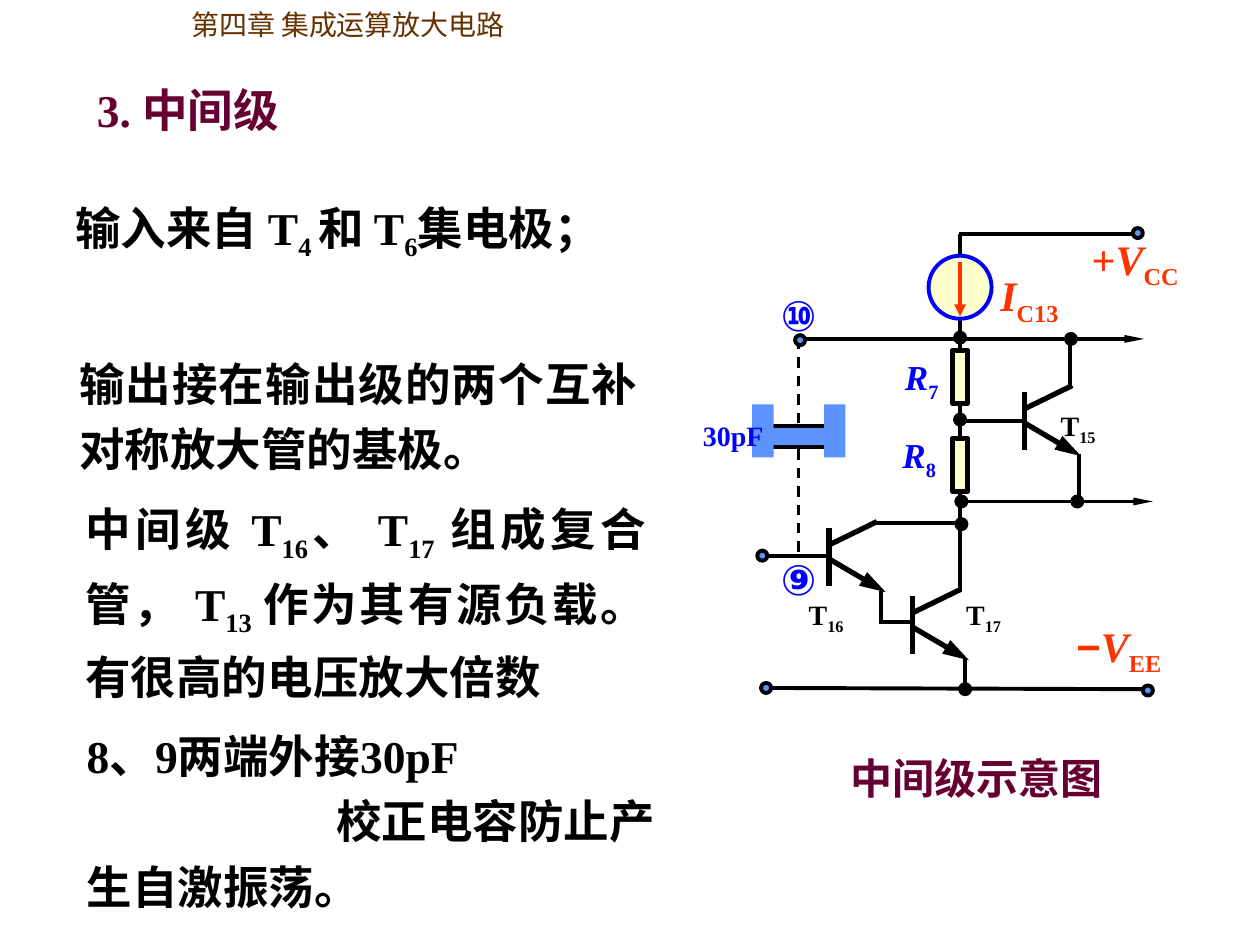
"""Build the slide on the intermediate stage of an integrated operational amplifier."""
import dataclasses
import itertools
import typing

import pptx
import pptx.dml.color
import pptx.enum.dml
import pptx.enum.shapes
import pptx.enum.text
import pptx.oxml
import pptx.oxml.ns
import pptx.util

COLUMNS, ROWS = 100, 75
CELL = pptx.util.Inches(0.1)
SERIF, SANS, HAN = "Times New Roman", "Arial", "Noto Sans CJK JP"
COLORS = {"black": "000000", "brown": "663300", "plum": "660033", "red": "FF3300",
          "blue": "0000FF", "sky": "5D93FF", "cream": "FFFFCC"}
ALIGN = pptx.enum.text.PP_ALIGN
SHAPE = pptx.enum.shapes.MSO_SHAPE


class Box(typing.NamedTuple):
    """Left, top, width and height in grid cells."""
    left: float
    top: float
    width: float
    height: float


@dataclasses.dataclass
class Wire:
    """A straight line between two grid points, with arrow width and length."""
    x1: float
    y1: float
    x2: float
    y2: float
    weight: float = 2.25
    color: str = "black"
    arrow: typing.Optional[typing.Tuple[str, str]] = None
    dashed: bool = False


class Node(typing.NamedTuple):
    """Centre of a junction or terminal and its fill."""
    x: float
    y: float
    color: str = "black"


def cells(*counts: float) -> typing.List[int]:
    """Turn grid counts into lengths."""
    return [round(count * CELL) for count in counts]


def rgb(name: str) -> pptx.dml.color.RGBColor:
    """Look up a named colour."""
    return pptx.dml.color.RGBColor.from_string(COLORS[name])


def draw_wire(slide, wire: Wire) -> None:
    """Draw one wire, dashed or with an arrowhead where asked."""
    line = slide.shapes.add_connector(pptx.enum.shapes.MSO_CONNECTOR.STRAIGHT,
                                      *cells(wire.x1, wire.y1, wire.x2, wire.y2))
    line.line.color.rgb = rgb(wire.color)
    line.line.width = pptx.util.Pt(wire.weight)
    if wire.dashed:
        line.line.dash_style = pptx.enum.dml.MSO_LINE.DASH
    if wire.arrow:
        width, length = wire.arrow
        head = pptx.oxml.parse_xml(
            f'<a:tailEnd {pptx.oxml.ns.nsdecls("a")} type="triangle" w="{width}" len="{length}"/>')
        line.line._get_or_add_ln().append(head)
    effects = pptx.oxml.parse_xml(f'<a:effectLst {pptx.oxml.ns.nsdecls("a")}/>')
    line._element.spPr.append(effects)


def draw_part(slide, kind, box: Box, fill: str, outline: str = "black", weight: float = 2.25) -> None:
    """Draw a filled part; zero weight means no outline."""
    part = slide.shapes.add_shape(kind, *cells(*box))
    part.shadow.inherit = False
    part.fill.solid()
    part.fill.fore_color.rgb = rgb(fill)
    if weight:
        part.line.color.rgb = rgb(outline)
        part.line.width = pptx.util.Pt(weight)
    else:
        part.line.fill.background()


def draw_node(slide, node: Node) -> None:
    """Draw a round junction or terminal."""
    draw_part(slide, SHAPE.OVAL, Box(node.x - 0.4, node.y - 0.4, 0.8, 0.8), node.color)


def draw_transistor(slide, x: float, y: float) -> None:
    """Draw a transistor whose base bar starts at the given point."""
    draw_wire(slide, Wire(x, y, x, y + 4.6, 3))
    draw_wire(slide, Wire(x - 0.1, y + 2.4, x + 4.5, y + 5.1, 3, arrow=("med", "lg")))
    draw_wire(slide, Wire(x - 0.1, y + 1.4, x + 3.8, y - 0.5, 3))


def write(slide, text: str, box: Box, *, size: float, color: str = "black", font: str = SERIF,
          bold: bool = True, italic: str = "", align=None, spacing: typing.Optional[float] = None,
          middle: bool = False, indent: float = 0) -> None:
    """Write text with subscripts between bars; the indent is for the last paragraph."""
    frame = slide.shapes.add_textbox(*cells(*box)).text_frame
    frame.word_wrap = True
    frame.auto_size = pptx.enum.text.MSO_AUTO_SIZE.SHAPE_TO_FIT_TEXT
    if middle:
        frame.vertical_anchor = pptx.enum.text.MSO_ANCHOR.MIDDLE
    for number, content in enumerate(text.split("\n")):
        paragraph = frame.add_paragraph() if number else frame.paragraphs[0]
        paragraph.alignment = align
        paragraph.line_spacing = spacing
        paragraph._p.get_or_add_pPr().set("hangingPunct", "0")
        for part, segment in enumerate(content.split("|")):
            lowered = part % 2 == 1
            for slanted, letters in itertools.groupby(segment, lambda letter: letter in italic):
                run = paragraph.add_run()
                run.text = "".join(letters)
                run.font.size = pptx.util.Pt(size)
                run.font.bold = bold
                run.font.italic = slanted
                run.font.color.rgb = rgb(color)
                run.font.name = SERIF if lowered or slanted else font
                properties = run._r.get_or_add_rPr()
                if lowered:
                    properties.set("baseline", "-25000")
                properties.append(pptx.oxml.parse_xml(
                    f'<a:ea {pptx.oxml.ns.nsdecls("a")} typeface="{HAN}"/>'))
    if indent:
        paragraph._p.get_or_add_pPr().set("indent", str(cells(indent)[0]))


def draw_circuit(slide) -> None:
    """Draw the schematic of the intermediate stage."""
    output = ("sm", "lg")
    wires = [
        Wire(76.2, 18.6, 76.2, 47), Wire(76.1, 18.6, 90.5, 18.6),
        Wire(63.2, 26.9, 90.8, 26.9, arrow=output), Wire(76.3, 39.8, 91.5, 39.8, arrow=output),
        Wire(61, 44.1, 65.7, 44.1), Wire(69.9, 46.9, 69.9, 49.4), Wire(69.8, 49.4, 72.3, 49.4),
        Wire(76.6, 52.3, 76.6, 54.8), Wire(69.6, 41.5, 76.5, 41.5), Wire(76.3, 33.4, 81.2, 33.4),
        Wire(84.9, 26.9, 84.9, 30.7), Wire(85.6, 36, 85.6, 40.2), Wire(60.6, 54.6, 90.7, 54.7),
        Wire(63.4, 26.9, 63.4, 44.1, 1.5, dashed=True),
    ]
    for wire in wires:
        draw_wire(slide, wire)
    for x, y in [(65.8, 41.9), (72.4, 47.3), (81.3, 31.1)]:
        draw_transistor(slide, x, y)
    draw_part(slide, SHAPE.OVAL, Box(73.7, 20.3, 5, 5), "cream", "blue")
    draw_wire(slide, Wire(76.2, 20.8, 76.2, 25.1, color="red", arrow=("med", "med")))
    for top in (27.8, 34.8):
        draw_part(slide, SHAPE.RECTANGLE, Box(75.6, top, 1.2, 4.2), "cream", weight=3)
    junctions = [(76.6, 54.7), (76.3, 41.6), (76.2, 33.3), (76.3, 39.8), (85.5, 39.8),
                 (85, 26.9), (76.2, 26.8)]
    terminals = [(60.5, 44.1), (91.1, 54.8), (90.3, 18.5), (63.5, 27), (60.8, 54.6)]
    for x, y in junctions:
        draw_node(slide, Node(x, y))
    for x, y in terminals:
        draw_node(slide, Node(x, y, "sky"))
    draw_part(slide, SHAPE.RECTANGLE, Box(60.9, 33.8, 5, 1.7), "sky")
    for left in (65.4, 59.7):
        draw_part(slide, SHAPE.RECTANGLE, Box(left, 32.1, 1.7, 4.2), "sky", weight=0)


def label_circuit(slide) -> None:
    """Name the parts of the schematic."""
    for name, left, top in [("T|15", 83.2, 31.9), ("T|16", 63.2, 46.9), ("T|17", 75.7, 46.9)]:
        write(slide, name, Box(left, top, 7.5, 4.1), size=16)
    for name, left, top in [("R|7", 69.4, 27.7), ("R|8", 69.2, 33.9)]:
        write(slide, name, Box(left, top, 7.5, 4.8), size=20, color="blue", italic="R",
              align=ALIGN.CENTER, middle=True)
    for name, left, top, width, font in [("+V|CC", 84.4, 18, 11.4, SERIF), ("−V|EE", 83.8, 48.7, 10, SANS)]:
        write(slide, name, Box(left, top, width, 5.6), size=24, color="red", font=font,
              italic="V", align=ALIGN.CENTER, middle=True)
    write(slide, "I|C13", Box(78.4, 20.9, 8.1, 5.6), size=24, color="red", italic="I")
    for pin, top in [("⑩", 22.5), ("⑨", 43.4)]:
        write(slide, pin, Box(61, top, 5, 5), size=24, color="blue", font=SANS)
    write(slide, "30pF", Box(54.8, 32.7, 7.5, 3.7), size=16, color="blue")
    write(slide, "中间级示意图", Box(55, 59.2, 45, 5), size=24, color="plum", align=ALIGN.CENTER)


def main() -> None:
    """Assemble and save the slide."""
    deck = pptx.Presentation()
    deck.slide_width, deck.slide_height = COLUMNS * CELL, ROWS * CELL
    slide = deck.slides.add_slide(deck.slide_layouts[6])
    write(slide, "第四章 集成运算放大电路", Box(11.7, 0.1, 36, 3.7), size=16, color="brown",
          font=HAN, bold=False, indent=2.5)
    write(slide, "3. 中间级", Box(6.7, 6, 25.8, 5.4), size=26, color="plum")
    draw_circuit(slide)
    label_circuit(slide)
    explanations = [
        ("输入来自 T|4 |和 T|6|集电极；", Box(5, 14.4, 45, 6.9)),
        ("输出接在输出级的两个互补对称放大管的基极。", Box(5.3, 26.9, 46.3, 11.4)),
        ("中间级 T|16|、 T|17 |组成复合管， T|13 |作为其有源负载。有很高的电压放大倍数",
         Box(5.8, 38.3, 46.5, 18.1)),
    ]
    for text, box in explanations:
        write(slide, text, box, size=26, align=ALIGN.JUSTIFY, spacing=1.2)
    write(slide, "8、9两端外接30pF\n校正电容防止产生自激振荡。", Box(5.9, 56.4, 49.6, 16.6),
          size=26, spacing=1.2, indent=19.8)
    deck.save("out.pptx")


if __name__ == "__main__":
    main()
